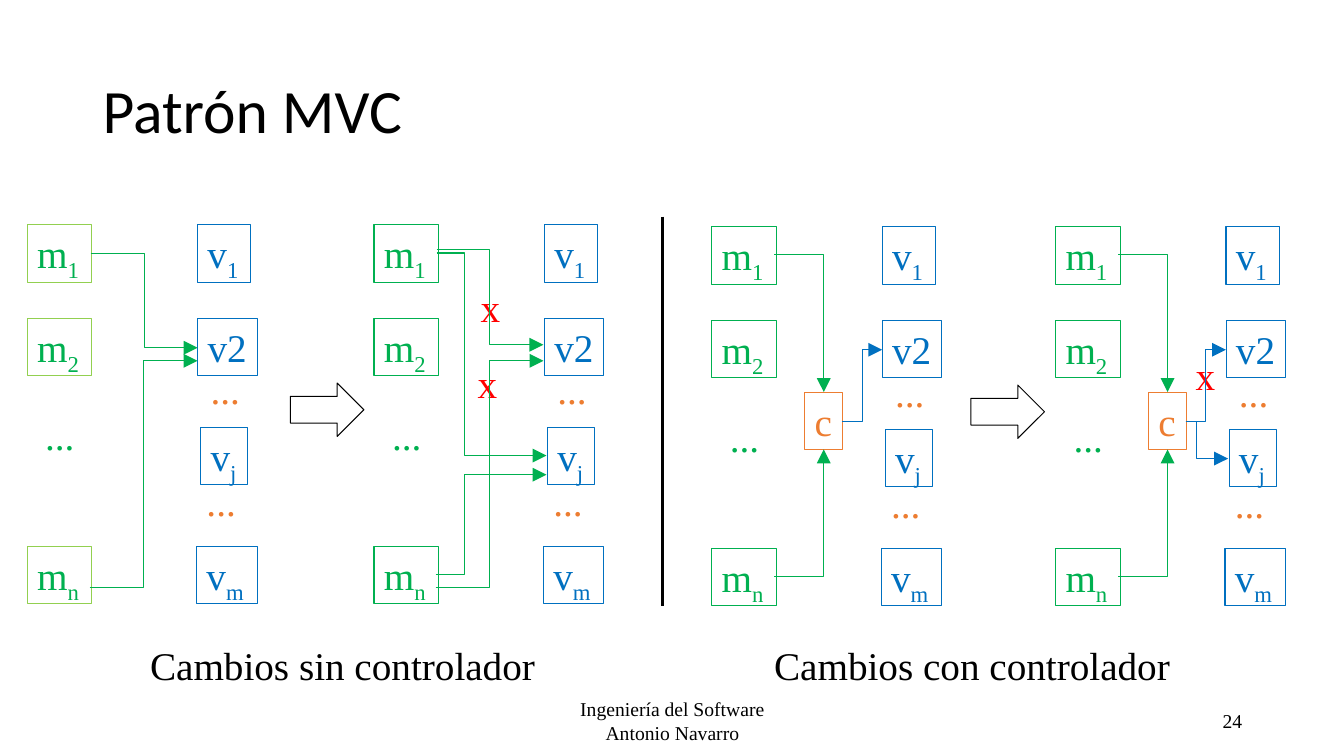
"""Build the slide that compares changes in the MVC pattern with and without a controller."""
from dataclasses import dataclass
from typing import NamedTuple

from lxml.etree import SubElement
from pptx import Presentation
from pptx.dml.color import RGBColor
from pptx.enum.shapes import MSO_CONNECTOR, MSO_SHAPE
from pptx.enum.text import MSO_ANCHOR, MSO_AUTO_SIZE, PP_ALIGN
from pptx.oxml.ns import qn
from pptx.shapes.autoshape import Shape
from pptx.shapes.connector import Connector
from pptx.slide import Slide
from pptx.util import Inches, Length, Pt


@dataclass(frozen=True)
class Theme:
    """Colours, fonts and sizes of the slide."""
    ink: str = "000000"
    model: str = "00B050"
    pale_model: str = "92D050"
    view: str = "0070C0"
    control: str = "ED7D31"
    removed: str = "FF0000"
    heading_font: str = "Calibri"
    body_font: str = "Times New Roman"
    heading_size: float = 44
    body_size: float = 28
    footer_size: float = 14
    thin: float = 0.75
    thick: float = 2


class Node(NamedTuple):
    """A label at a grid place inside a panel."""
    text: str
    subscript: str
    column: float
    row: float
    width: float
    color: str
    framed: bool = True


class Link(NamedTuple):
    """An elbow arrow; a bend of None means a single corner."""
    start: tuple[float, float]
    end: tuple[float, float]
    color: str
    bend: float | None = 0.5


class Panel(NamedTuple):
    """A state of the diagram, placed on the slide grid."""
    column: float
    row: float
    extras: list[Node]
    links: list[Link]
    model_frame: str


class Caption(NamedTuple):
    """Free-standing text placed on the slide grid."""
    lines: list[str]
    column: float
    row: float
    width: float
    height: float
    size: float
    font: str
    align: PP_ALIGN = PP_ALIGN.LEFT
    anchor: MSO_ANCHOR = MSO_ANCHOR.MIDDLE
    spacing: float = 1.0


THEME = Theme()
CELL = 0.1
BOX_HEIGHT = 5.7
ROW_ONE, ROW_TWO, ROW_LAST = 0, 9.3, 31.9
MODEL_WIDTH = 6.4

COMMON_NODES = [
    *(Node("m", mark, 0, row, MODEL_WIDTH, THEME.model)
      for mark, row in (("1", ROW_ONE), ("2", ROW_TWO), ("n", ROW_LAST))),
    Node("...", "", 0.8, 18, 5, THEME.model, False),
    Node("v", "1", 16.9, ROW_ONE, 5.3, THEME.view),
    Node("v2", "", 16.9, ROW_TWO, 5.9, THEME.view),
    Node("v", "m", 16.8, ROW_LAST, 6, THEME.view),
    Node("...", "", 17.2, 13.5, 5, THEME.control, False),
    Node("...", "", 16.8, 24.6, 5, THEME.control, False),
    Node("v", "j", 17.2, 20.1, 4.7, THEME.view),
]
CONTROLLER = Node("c", "", 9.2, 16.4, 3.8, THEME.control)
CONTROLLER_LINKS = [
    Link((6.2, 2.8), (11.1, 16.4), THEME.model, None),
    Link((6.2, 34.7), (11.1, 22.1), THEME.model, None),
    Link((12.9, 19.3), (16.9, 12.2), THEME.view),
]
PANELS = [
    Panel(2.7, 22.3, [], [
        Link((6.3, 2.9), (16.9, 12.2), THEME.model),
        Link((6.2, 36), (16.9, 13.5), THEME.model),
    ], THEME.pale_model),
    Panel(37.1, 22.3, [
        Node("x", "", 9.6, 5.3, 4, THEME.removed, False),
        Node("x", "", 9.3, 12.9, 4, THEME.removed, False),
    ], [
        Link((6.2, 2.5), (16.8, 11.9), THEME.model),
        Link((6.1, 36), (16.8, 13.5), THEME.model),
        Link((6.2, 2.8), (17.1, 22.9), THEME.model, 0.25),
        Link((6.1, 34.7), (17.1, 24.8), THEME.model, 0.26),
    ], THEME.model),
    Panel(70.6, 22.5, [CONTROLLER], CONTROLLER_LINKS, THEME.model),
    Panel(104.7, 22.5, [Node("x", "", 12.9, 11.9, 3.8, THEME.removed, False), CONTROLLER],
          [*CONTROLLER_LINKS, Link((12.9, 19.3), (17.1, 23), THEME.view, 0.26)], THEME.model),
]
CAPTIONS = [
    Caption(["Patrón MVC"], 9.2, 4, 115, 14.5, THEME.heading_size, THEME.heading_font,
            spacing=0.9),
    Caption(["Cambios sin controlador"], 13.9, 63.1, 40.6, BOX_HEIGHT, THEME.body_size,
            THEME.body_font, anchor=MSO_ANCHOR.TOP),
    Caption(["Cambios con controlador"], 75.8, 63.1, 41.7, BOX_HEIGHT, THEME.body_size,
            THEME.body_font, anchor=MSO_ANCHOR.TOP),
    Caption(["Ingeniería del Software", "Antonio Navarro"], 44.2, 69.5, 45, 4,
            THEME.footer_size, THEME.body_font, PP_ALIGN.CENTER),
    Caption(["24"], 94.2, 69.5, 30, 4, THEME.footer_size, THEME.body_font, PP_ALIGN.RIGHT),
]
STEP_ARROWS = [(28.8, 38), (96.3, 38.2)]


def grid(cells: float) -> Length:
    """Turn grid cells into a length."""
    return Inches(cells * CELL)


def draw_caption(page: Slide, caption: Caption) -> None:
    """Draw a caption, one paragraph per line."""
    box = page.shapes.add_textbox(*map(grid, caption[1:5]))
    frame = box.text_frame
    frame.word_wrap = True
    frame.vertical_anchor = caption.anchor
    frame.text = "\n".join(caption.lines)
    for para in frame.paragraphs:
        para.alignment = caption.align
        para.line_spacing = caption.spacing
        para.font.size = Pt(caption.size)
        para.font.name = caption.font
        para.font.color.rgb = RGBColor.from_string(THEME.ink)


def draw_node(page: Slide, node: Node, panel: Panel) -> Shape:
    """Draw a label with its optional frame and subscript."""
    box = page.shapes.add_textbox(grid(panel.column + node.column), grid(panel.row + node.row),
                                  grid(node.width), grid(BOX_HEIGHT))
    frame = box.text_frame
    frame.word_wrap = False
    frame.auto_size = MSO_AUTO_SIZE.SHAPE_TO_FIT_TEXT
    para = frame.paragraphs[0]
    para.font.size = Pt(THEME.body_size)
    para.font.name = THEME.body_font
    para.font.color.rgb = RGBColor.from_string(node.color)
    para.add_run().text = node.text
    if node.subscript:
        span = para.add_run()
        span.text = node.subscript
        span.font._element.set("baseline", "-25000")
    if node.framed:
        frame_color = panel.model_frame if node.color == THEME.model else node.color
        box.line.color.rgb = RGBColor.from_string(frame_color)
        box.line.width = Pt(THEME.thin)
    return box


def draw_line(page: Slide, kind: MSO_CONNECTOR, start: tuple[float, float],
              end: tuple[float, float], color: str, width: float) -> Connector:
    """Draw a connector without a shadow."""
    line = page.shapes.add_connector(kind, *map(grid, (*start, *end)))
    line.line.color.rgb = RGBColor.from_string(color)
    line.line.width = Pt(width)
    SubElement(line._element.spPr, qn("a:effectLst"))
    return line


def draw_link(page: Slide, link: Link, panel: Panel) -> None:
    """Draw an elbow arrow with a large triangular head."""
    start, end = ((panel.column + column, panel.row + row) for column, row in link[:2])
    arrow = draw_line(page, MSO_CONNECTOR.ELBOW, start, end, link.color, THEME.thin)
    geometry = arrow._element.spPr.find(qn("a:prstGeom"))
    if link.bend is None:
        geometry.set("prst", "bentConnector2")
    else:
        SubElement(geometry.find(qn("a:avLst")), qn("a:gd"), name="adj1",
                   fmla=f"val {round(link.bend * 100000)}")
    SubElement(arrow.line._get_or_add_ln(), qn("a:tailEnd"), type="triangle", w="lg", len="lg")


def draw_step_arrow(page: Slide, column: float, row: float) -> None:
    """Draw the hollow block arrow between two states."""
    arrow = page.shapes.add_shape(MSO_SHAPE.RIGHT_ARROW, *map(grid, (column, row, 7.3, 5.3)))
    arrow.shadow.inherit = False
    arrow.fill.background()
    arrow.line.color.rgb = RGBColor.from_string(THEME.ink)
    arrow.line.width = Pt(THEME.thin)


def main() -> None:
    """Assemble and save the deck."""
    deck = Presentation()
    deck.slide_width, deck.slide_height = Inches(13.33), Inches(7.5)
    page = deck.slides.add_slide(deck.slide_layouts[6])
    for caption in CAPTIONS:
        draw_caption(page, caption)
    for column, row in STEP_ARROWS:
        draw_step_arrow(page, column, row)
    for panel in PANELS:
        for node in [*panel.extras, *COMMON_NODES]:
            draw_node(page, node, panel)
        for link in panel.links:
            draw_link(page, link, panel)
    draw_line(page, MSO_CONNECTOR.STRAIGHT, (65.7, 21.5), (65.7, 60.1), THEME.ink, THEME.thick)
    deck.save("out.pptx")


if __name__ == "__main__":
    main()
